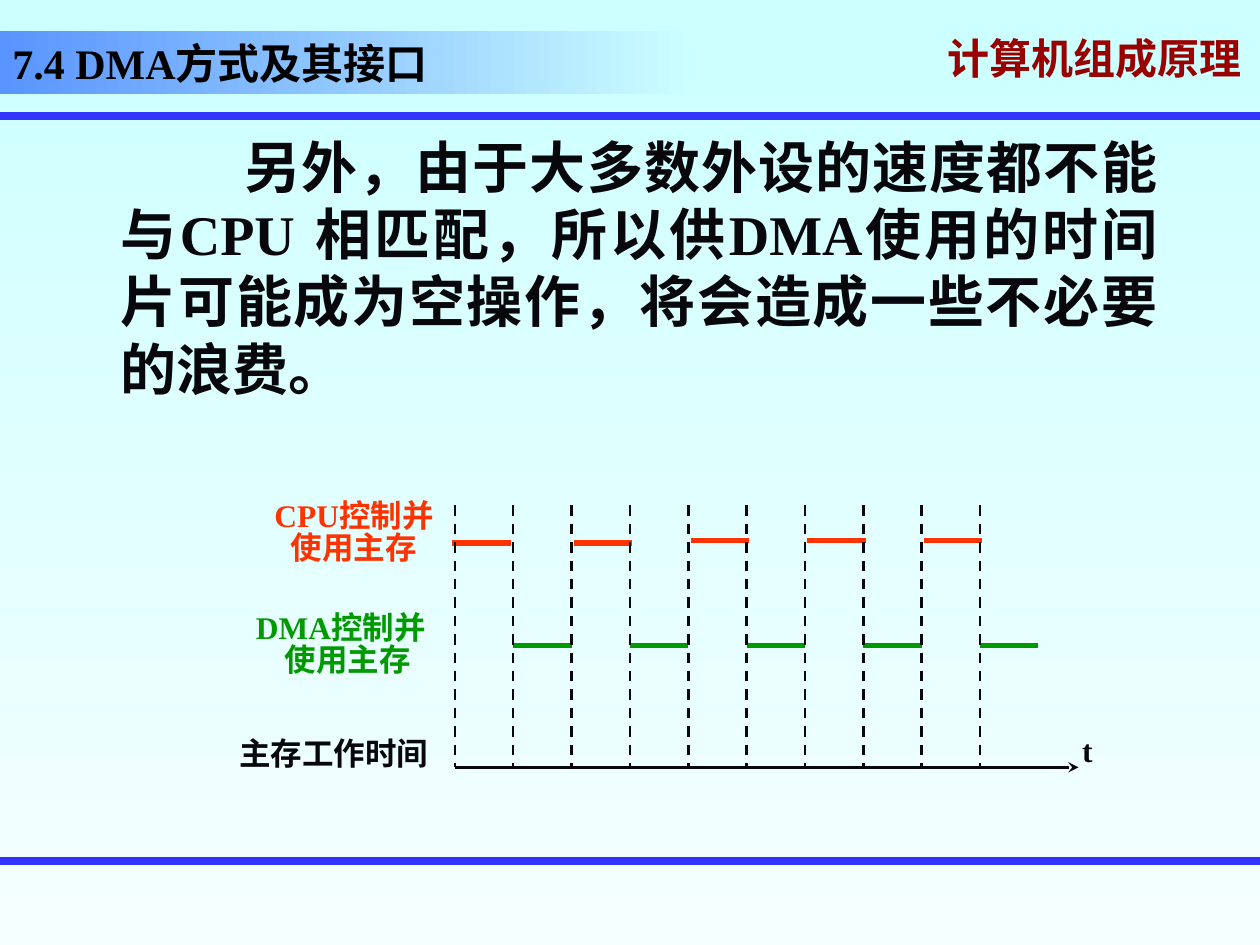
from dataclasses import dataclass

from lxml import etree
from pptx import Presentation
from pptx import util as u
from pptx.dml.color import RGBColor
from pptx.enum import dml, shapes, text
from pptx.oxml import ns


@dataclass(frozen=True)
class Theme:
    latin: str = "Times New Roman"
    asian: str = "Noto Sans CJK SC"
    ink: str = "08080C"
    black: str = "000000"
    maroon: str = "990000"
    blue: str = "3333FF"
    red: str = "FF3300"
    green: str = "009900"
    sky: tuple = ("CCFFFF", "F5FFFF")
    band: tuple = ("5994FF", "CCFFFF")
    head: int = 24
    body: int = 32
    label: int = 18
    rule: float = 4.5
    pulse: float = 3
    axis: float = 1.5


T = Theme()
WIDE, HIGH = u.Inches(10), u.Inches(7.5)
START, STEP, TICKS = 36.1, 4.63, 10
TOP, BASE = 53.47, 81.2
ALIGN = text.PP_ALIGN


def across(share):
    """Percent of the slide's width."""
    return round(WIDE * share / 100)


def down(share):
    """Percent of the slide's height."""
    return round(HIGH * share / 100)


def tick(col):
    return START + STEP * col


def rgb(code):
    return RGBColor.from_string(code)


def add(parent, tag, **attrs):
    node = etree.SubElement(parent, ns.qn(tag))
    for key, value in attrs.items():
        node.set(key, value)
    return node


def blend(fill, hues, angle):
    fill.gradient()
    fill.gradient_angle = angle
    for stop, hue in zip(fill.gradient_stops, hues):
        stop.color.rgb = rgb(hue)


def shade(run):
    """Give the letters a small soft shadow."""
    effects = etree.Element(ns.qn("a:effectLst"))
    cast = add(effects, "a:outerShdw", dist="25400", dir="2700000")
    add(cast, "a:srgbClr", val="808080")
    run.font.fill._xPr.find(ns.qn("a:solidFill")).addnext(effects)


def write(shape, words, size, hue, align=ALIGN.LEFT, pitch=None,
          anchor=text.MSO_ANCHOR.TOP, latin=T.latin):
    frame = shape.text_frame
    frame.word_wrap = True
    frame.vertical_anchor = anchor
    frame.text = words
    for para in frame.paragraphs:
        para.alignment = align
        if pitch:
            para.line_spacing = u.Pt(pitch)
        for run in para.runs:
            font = run.font
            font.size, font.bold, font.name = u.Pt(size), True, latin
            font.color.rgb = rgb(hue)
            add(run._r.get_or_add_rPr(), "a:ea", typeface=T.asian)
    return frame


def box(slide, x, y, w, h, *args, **kwargs):
    area = slide.shapes.add_textbox(across(x), down(y), across(w), down(h))
    return write(area, *args, **kwargs)


def indent(para, left, first=0):
    """Set left margin and first-line indent in inches."""
    props = para._p.get_or_add_pPr()
    props.set("marL", str(u.Inches(left)))
    props.set("indent", str(u.Inches(first)))


def line(slide, x1, y1, x2, y2, hue, weight, dash=False, arrow=False):
    link = slide.shapes.add_connector(
        shapes.MSO_CONNECTOR.STRAIGHT,
        across(x1), down(y1), across(x2), down(y2))
    link.line.color.rgb = rgb(hue)
    link.line.width = u.Pt(weight)
    if dash:
        link.line.dash_style = dml.MSO_LINE.DASH
    if arrow:
        add(link.line._get_or_add_ln(), "a:tailEnd", type="stealth")
    add(link._element.spPr, "a:effectLst")


def header(slide):
    middle = text.MSO_ANCHOR.MIDDLE
    course = box(slide, 74.2, 2.8, 25.8, 6.67, "计算机组成原理", T.head,
                 T.maroon, anchor=middle, latin=T.asian)
    shade(course.paragraphs[0].runs[0])
    for y in (12.27, 91.07):
        line(slide, 0, y, 100, y, T.blue, T.rule)
    band = slide.shapes.add_shape(
        shapes.MSO_SHAPE.RECTANGLE, 0, down(3.33), across(55), down(6.67))
    band.shadow.inherit = False
    band.line.fill.background()
    blend(band.fill, T.band, 0)
    write(band, "7.4 DMA方式及其接口", T.head, T.black, anchor=middle)


def prose(slide):
    frame = box(slide, 4.8, 13.33, 88.1, 75.33,
                "另外，由于大多数外设的速度都不能与CPU 相匹配，所以供DMA使用的"
                "时间片可能成为空操作，将会造成一些不必要的浪费。",
                T.body, T.ink, ALIGN.JUSTIFY, pitch=38.5)
    indent(frame.paragraphs[0], 0.38, 0.98)


def labels(slide):
    style = dict(align=ALIGN.CENTER, pitch=18.3)
    box(slide, 18.8, 52.4, 18.6, 8.27, "CPU控制并\n使用主存",
        T.label, T.red, **style)
    dma = box(slide, 13.8, 64.27, 26.5, 8.27, "DMA控制并\n使用主存",
              T.label, T.green, **style)
    indent(dma.paragraphs[1], 0.11)
    box(slide, 14.4, 77.6, 24.2, 5.33, "主存工作时间",
        T.label, T.ink, **style)
    box(slide, 84.9, 77.33, 7.7, 5.33, "t", T.label, T.ink, pitch=18.3)


def timing(slide):
    for col in range(0, TICKS, 2):
        left = tick(col) + (0.2 if col else -0.2)
        y = 57.47 if col < 4 else 57.2
        line(slide, left, y, left + STEP, y, T.red, T.pulse)
    for col in range(1, TICKS, 2):
        line(slide, tick(col), 68.27, tick(col + 1), 68.27, T.green, T.pulse)
    line(slide, START, BASE, 85.6, BASE, T.ink, T.axis, arrow=True)
    for col in range(TICKS):
        line(slide, tick(col), TOP, tick(col), BASE, T.ink, T.axis, dash=True)


def main():
    deck = Presentation()
    deck.slide_width, deck.slide_height = WIDE, HIGH
    slide = deck.slides.add_slide(deck.slide_layouts[6])
    blend(slide.background.fill, T.sky, 270)
    header(slide)
    prose(slide)
    timing(slide)
    labels(slide)
    deck.save("out.pptx")


if __name__ == "__main__":
    main()
